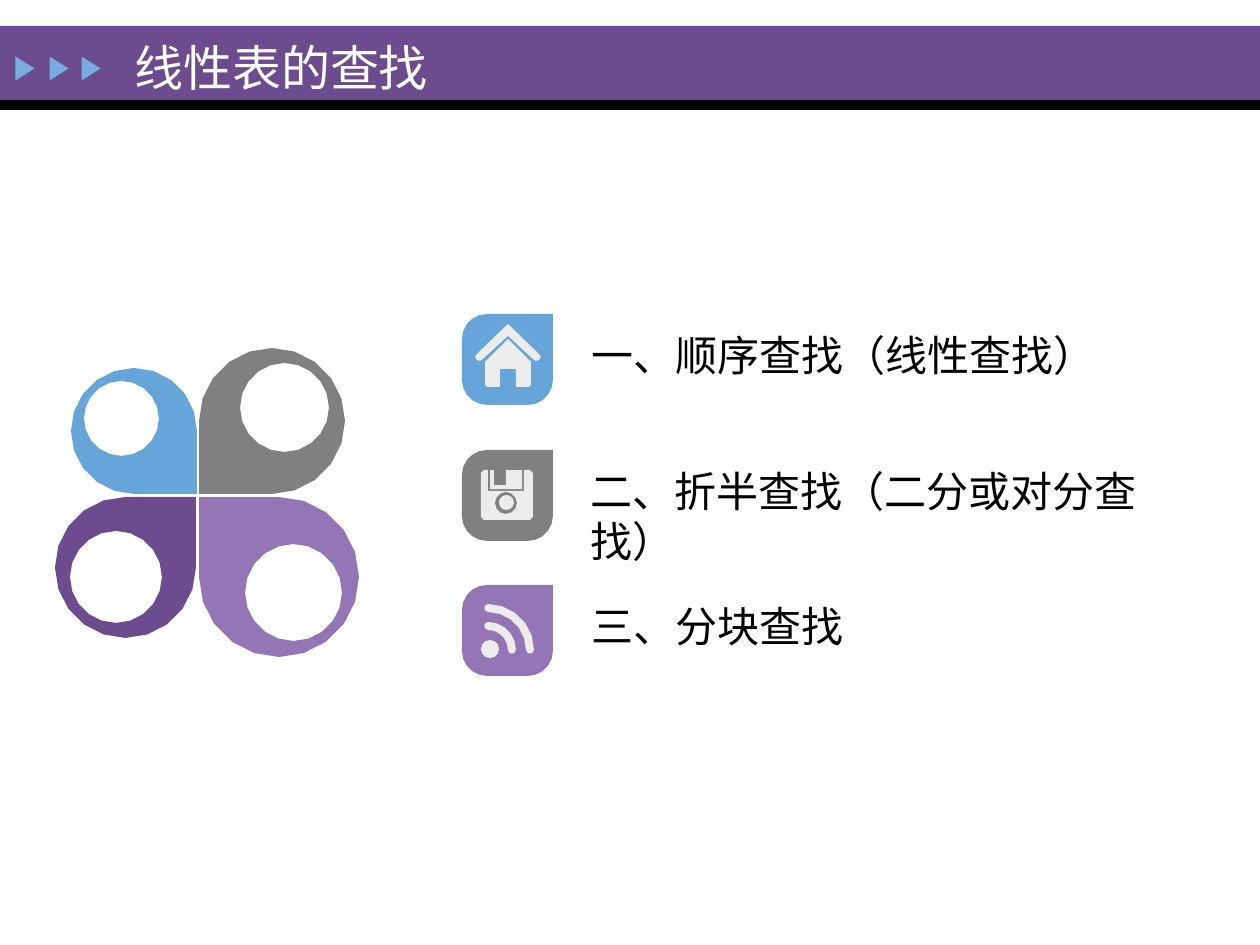
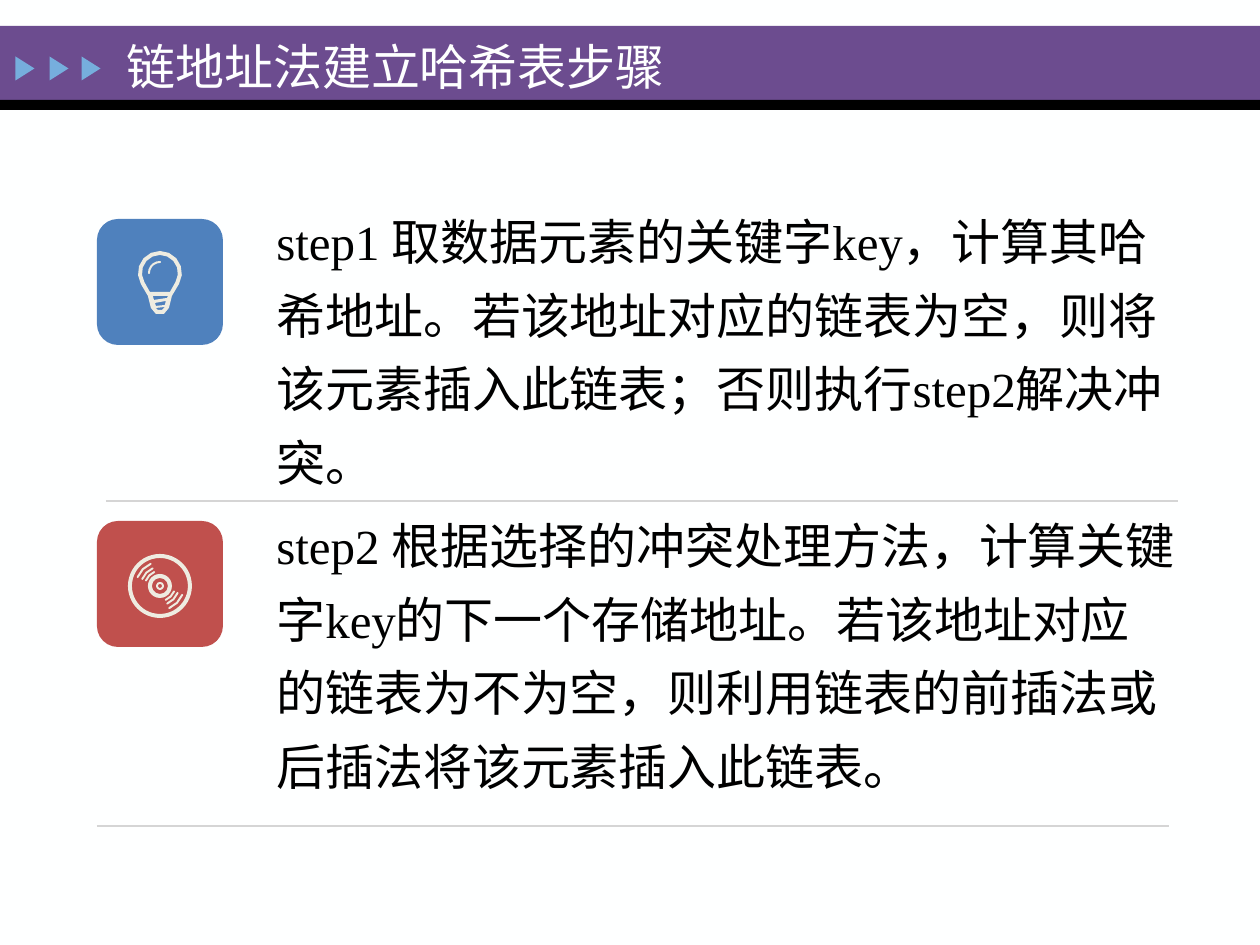
from math import cos, radians, sin, sqrt

from lxml import etree
from pptx import Presentation
from pptx.dml.color import RGBColor
from pptx.enum.shapes import MSO_CONNECTOR, MSO_SHAPE
from pptx.enum.text import MSO_ANCHOR
from pptx.oxml.ns import qn
from pptx.util import Emu, Pt

PX = 914400 / 126
FONT = "Times New Roman"

RECT = MSO_SHAPE.RECTANGLE
ROUND_RECT = MSO_SHAPE.ROUNDED_RECTANGLE
TRIANGLE = MSO_SHAPE.ISOSCELES_TRIANGLE
OVAL = MSO_SHAPE.OVAL
DONUT = MSO_SHAPE.DONUT
STRAIGHT = MSO_CONNECTOR.STRAIGHT
TOP, MIDDLE = MSO_ANCHOR.TOP, MSO_ANCHOR.MIDDLE

PAPER = RGBColor(0xFE, 0xFF, 0xFF)
BLACK = RGBColor(0x00, 0x00, 0x00)
PURPLE = RGBColor(0x6C, 0x4C, 0x8F)
LILAC = RGBColor(0x94, 0x76, 0xB6)
SKY = RGBColor(0x65, 0xA5, 0xD9)
ARROW_BLUE = RGBColor(0x76, 0xAE, 0xDD)
GREY = RGBColor(0x80, 0x80, 0x80)
ICON_GREY = RGBColor(0xEC, 0xEC, 0xEB)
ICON_CREAM = RGBColor(0xEE, 0xEC, 0xE1)
STEP_BLUE = RGBColor(0x4F, 0x81, 0xBD)
STEP_RED = RGBColor(0xC0, 0x50, 0x4D)
RULE = RGBColor(0xD5, 0xD5, 0xD5)


def arc(cx, cy, radius, start, end, step=18):
    """Points along an arc, in px; angles run clockwise from the right."""
    count = max(1, round(abs(end - start) / step))
    angles = [radians(start + (end - start) * i / count) for i in range(count + 1)]
    return [(cx + radius * cos(a), cy + radius * sin(a)) for a in angles]


def draw(s, form, color, box=None, rot=0):
    """Draw a preset in a px box, or an outline from a list of contours."""
    if box:
        sp = s.shapes.add_shape(form, *[Emu(round(v * PX)) for v in box])
        sp.rotation = rot
    else:
        contours = [[(x * PX, y * PX) for x, y in contour] for contour in form]
        builder = s.shapes.build_freeform(*contours[0][0], scale=1.0)
        builder.add_line_segments(contours[0][1:], close=True)
        for contour in contours[1:]:
            builder.move_to(*contour[0])
            builder.add_line_segments(contour[1:], close=True)
        sp = builder.convert_to_shape()
    sp.shadow.inherit = False
    sp.fill.solid()
    sp.fill.fore_color.rgb = color
    sp.line.fill.background()
    return sp


prs = Presentation()
prs.slide_width = Emu(round(1260 * PX))
prs.slide_height = Emu(round(945 * PX))
background = prs.slide_master.background.fill
background.solid()
background.fore_color.rgb = PAPER

# Header band on every slide
search, hashing = [prs.slides.add_slide(prs.slide_layouts[6]) for _ in range(2)]
for s in (search, hashing):
    draw(s, RECT, PURPLE, (0, 26, 1260, 74))
    draw(s, RECT, BLACK, (0, 100, 1260, 10))
    for x in (13, 47, 79):
        draw(s, TRIANGLE, ARROW_BLUE, (x, 59, 24, 19), 90)

# Flower: colour, left, top, size, start of the round side, hole left, top, size
petals = [
    (SKY, 71, 368, 126, 90, 84, 381, 75),
    (PURPLE, 55, 497, 141, 0, 70, 531, 92),
    (GREY, 199, 348, 146, 180, 240, 363, 89),
    (LILAC, 199, 497, 160, 270, 245, 544, 97),
]
for color, x, y, size, start, hole_x, hole_y, hole in petals:
    r, hole_r = size / 2, hole / 2
    tip = arc(x + r, y + r, r * sqrt(2), start - 45, start - 45)[:1]
    petal = arc(x + r, y + r, r, start, start + 270) + tip
    cutout = arc(hole_x + hole_r, hole_y + hole_r, hole_r, 360, 0)[1:]
    draw(search, [petal, cutout], color)

# Badges with one square corner
LEFT, SIZE, R = 462, 91, 25
for color, top in ((SKY, 314), (GREY, 450), (LILAC, 585)):
    right, bottom = LEFT + SIZE, top + SIZE
    badge = ([(right, top)]
             + arc(right - R, bottom - R, R, 0, 90)
             + arc(LEFT + R, bottom - R, R, 90, 180)
             + arc(LEFT + R, top + R, R, 180, 270))
    draw(search, [badge], color)

# House
roof = [(508, 324), (539, 354), (541, 357), (539, 360), (536, 361), (533, 359),
        (508, 336), (483, 359), (480, 361), (477, 360), (475, 357), (477, 354)]
walls = [(508, 339), (531, 362), (531, 385), (529, 387), (516, 387), (516, 369),
         (500, 369), (500, 387), (487, 387), (485, 385), (485, 362)]
draw(search, [roof], ICON_GREY)
draw(search, [walls], ICON_GREY)

# Floppy disk
disk = [(481, 473), (484, 470), (488, 470), (488, 491), (524, 491), (524, 470),
        (530, 470), (533, 473), (533, 517), (530, 520), (484, 520), (481, 517)]
shutter = [(490, 470), (490, 489), (522, 489), (522, 470),
           (506, 470), (506, 485), (494, 485), (494, 470)]
draw(search, [shutter], ICON_GREY)
draw(search, [disk, arc(506, 503, 11, 0, 360, 30)[1:]], ICON_GREY)
draw(search, OVAL, ICON_GREY, (499, 495, 15, 15))

# Feed dot
draw(search, OVAL, ICON_GREY, (481, 640, 18, 18))

# Step tiles
draw(hashing, ROUND_RECT, STEP_RED, (97, 521, 126, 126))
draw(hashing, ROUND_RECT, STEP_BLUE, (97, 219, 126, 126))

# Disc rings
for outer, inner in ((32, 28), (12, 8), (4, 2)):
    box = (160 - outer, 586 - outer, 2 * outer, 2 * outer)
    ring = draw(hashing, DONUT, ICON_CREAM, box)
    ring.adjustments[0] = (outer - inner) / (2 * outer)

# Light bulb
bulb = arc(160, 273, 22, 150, 390, 24) + [
    (172, 296), (169, 308), (164, 314), (156, 314), (151, 308), (148, 296)]
glass = arc(160, 273, 18, 150, 390, 24) + [(170, 292), (150, 292)]
slots = [
    [(153, 296), (168, 296), (167, 298), (154, 300)],
    [(155, 303), (166, 301), (165, 305), (156, 306)],
    [(156, 308), (165, 307), (162, 310), (158, 310)],
]
draw(hashing, [bulb, glass, *slots], ICON_CREAM)

# Round-ended strokes: feed waves, disc grooves, bulb highlight
strokes = [(search, ICON_GREY, 488, 650, r, 4, -90, 0) for r in (24, 42)]
strokes += [(hashing, ICON_CREAM, 160, 586, r, 1, a, a + 45)
            for r in (15, 19, 24) for a in (22, 202)]
strokes.append((hashing, ICON_CREAM, 160, 273, 11, 1, 180, 270))
for s, color, cx, cy, r, half, a0, a1 in strokes:
    start, *_, end = arc(cx, cy, r, a0, a1)
    outline = (arc(cx, cy, r + half, a0, a1)
               + arc(*end, half, a1, a1 + 180, 60)[1:-1]
               + arc(cx, cy, r - half, a1, a0)
               + arc(*start, half, a0 + 180, a0 + 360, 60)[1:-1])
    draw(s, [outline], color)

# Rules under the steps
for x, y in ((106, 501), (97, 826)):
    ends = [Emu(round(v * PX)) for v in (x, y, x + 1072, y)]
    rule = hashing.shapes.add_connector(STRAIGHT, *ends)
    rule.line.color.rgb = RULE
    rule.line.width = Pt(0.75)
    etree.SubElement(rule._element.spPr, qn("a:effectLst"))

# Text: slide, box, size, colour, anchor, line spacing, space before, paragraphs
steps = [
    "step1 取数据元素的关键字key，计算其哈希地址。若该地址对应的链表为空，则将该元素插入此链表；否则执行step2解决冲突。",
    "step2 根据选择的冲突处理方法，计算关键字key的下一个存储地址。若该地址对应的链表为不为空，则利用链表的前插法或后插法将该元素插入此链表。",
]
texts = [
    (search, (122, 19, 848, 95), 28, PAPER, MIDDLE, 1, 0, ["线性表的查找"]),
    (search, (579, 323, 567, 64), 24, BLACK, TOP, 1, 0, ["一、顺序查找（线性查找）"]),
    (search, (578, 459, 627, 64), 24, BLACK, TOP, 1, 0, ["二、折半查找（二分或对分查找）"]),
    (search, (579, 594, 567, 64), 24, BLACK, TOP, 1, 0, ["三、分块查找"]),
    (hashing, (114, 30, 774, 71), 28, PAPER, MIDDLE, 1, 0, ["链地址法建立哈希表步骤"]),
    (hashing, (264, 191, 925, 674), 28, BLACK, TOP, 1.25, 5.6, steps),
]
for s, box, size, color, anchor, spacing, before, lines in texts:
    tf = s.shapes.add_textbox(*[Emu(round(v * PX)) for v in box]).text_frame
    tf.word_wrap = True
    tf.vertical_anchor = anchor
    tf.text = "\n".join(lines)
    for p in tf.paragraphs:
        p.line_spacing = float(spacing)
        p.space_before = Pt(before)
        font = p.runs[0].font
        font.name = FONT
        font.size = Pt(size)
        font.color.rgb = color

prs.save("out.pptx")
